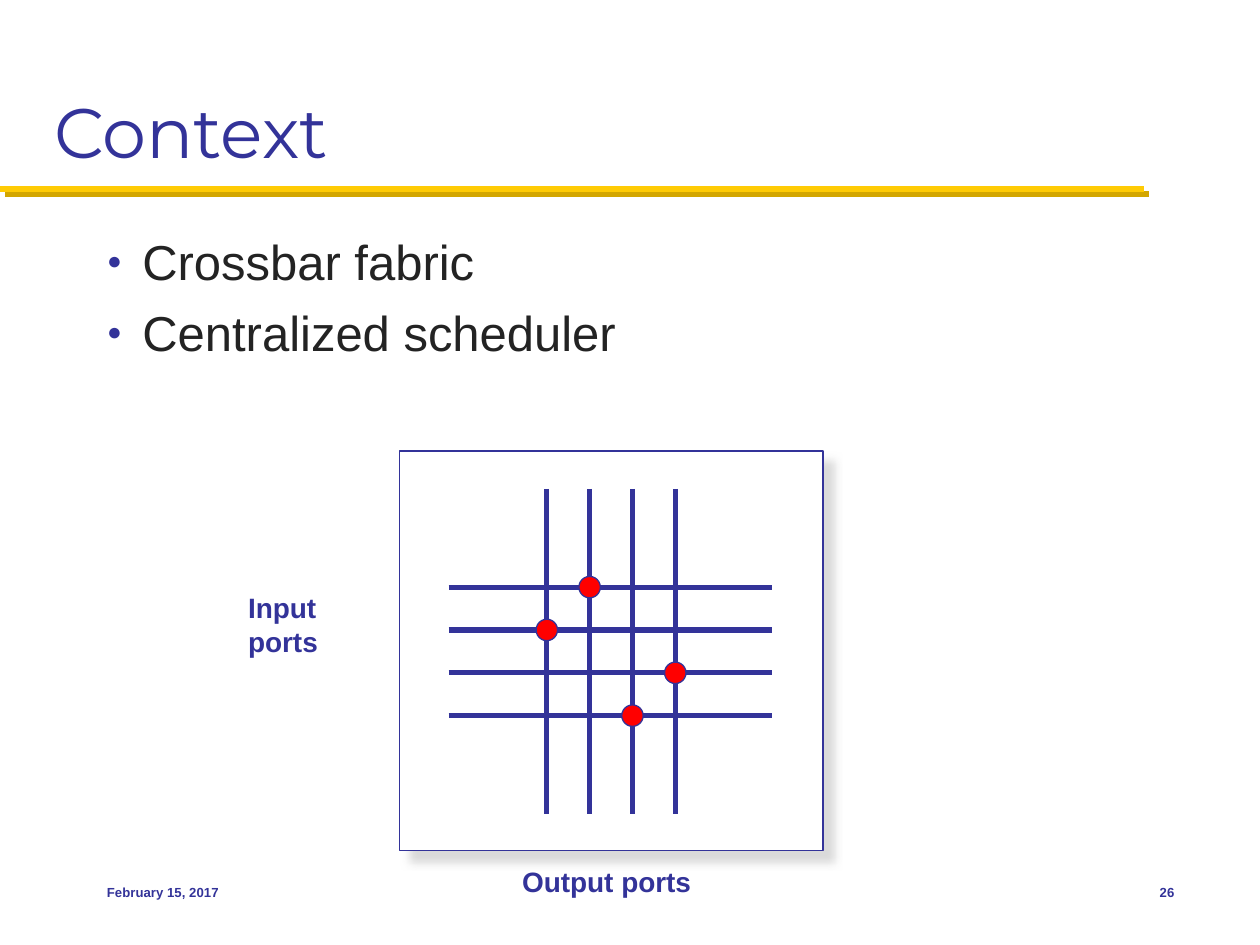
from dataclasses import dataclass

from lxml import etree
from pptx import Presentation
from pptx.dml.color import RGBColor
from pptx.enum.shapes import MSO_CONNECTOR, MSO_SHAPE
from pptx.enum.text import MSO_ANCHOR, MSO_AUTO_SIZE, PP_ALIGN
from pptx.oxml.ns import qn
from pptx.util import Inches, Pt

STRAIGHT = MSO_CONNECTOR.STRAIGHT
RECTANGLE, OVAL = MSO_SHAPE.RECTANGLE, MSO_SHAPE.OVAL
TOP, MIDDLE, BOTTOM = MSO_ANCHOR.TOP, MSO_ANCHOR.MIDDLE, MSO_ANCHOR.BOTTOM
LEFT, CENTER, RIGHT = PP_ALIGN.LEFT, PP_ALIGN.CENTER, PP_ALIGN.RIGHT
NO_AUTOFIT = MSO_AUTO_SIZE.NONE


@dataclass(frozen=True)
class Theme:
    navy: str = "333399"
    ink: str = "232323"
    gold: str = "FFCB05"
    dark_gold: str = "D3A600"
    red: str = "FF0000"
    white: str = "FFFFFF"
    grey: str = "CECECE"
    title_font: str = "Montserrat"
    text_font: str = "Arial"
    title_size: float = 40
    body_size: float = 28
    label_size: float = 16
    footer_size: float = 7.5


THEME = Theme()

# Crossbar geometry, in inches
COLUMN_START, ROW_START, STEP, PORTS = 4.34, 4.66, 0.34, 4
COLUMN_SPAN = (3.88, 6.46)
ROW_SPAN = (3.56, 6.13)
DOT_SIZE = 0.17
CLOSED_POINTS = [(1, 0), (0, 1), (3, 2), (2, 3)]  # (output column, input row)


def place(shape, left, top, width, height):
    bounds = {"left": left, "top": top, "width": width, "height": height}
    for name, value in bounds.items():
        setattr(shape, name, Inches(value))


def style_font(font, size, color, name=THEME.text_font, bold=False):
    for key, value in {"size": Pt(size), "name": name, "bold": bold}.items():
        setattr(font, key, value)
    font.color.rgb = RGBColor.from_string(color)


def style_frame(frame, anchor, top_inset=0.05):
    settings = {
        "word_wrap": True,
        "auto_size": NO_AUTOFIT,
        "vertical_anchor": anchor,
        "margin_left": Inches(0.1),
        "margin_right": Inches(0.1),
        "margin_top": Inches(top_inset),
        "margin_bottom": Inches(0.05),
    }
    for name, value in settings.items():
        setattr(frame, name, value)


def style_line(line, color, width):
    line.color.rgb = RGBColor.from_string(color)
    line.width = Pt(width)


def set_effects(shape, color=None, opacity=100, blur=0, distance=0):
    """Give the shape a shadow to the lower right, or none without a colour."""
    properties = shape._element.spPr
    for old in properties.findall(qn("a:effectLst")):
        properties.remove(old)
    effects = etree.SubElement(properties, qn("a:effectLst"))
    if color:
        shadow = etree.SubElement(
            effects, qn("a:outerShdw"), blurRad=str(Pt(blur)),
            dist=str(Pt(distance)), dir="2700000", algn="ctr", rotWithShape="0")
        tint = etree.SubElement(shadow, qn("a:srgbClr"), val=color)
        etree.SubElement(tint, qn("a:alpha"), val=str(opacity * 1000))


def add_line(shapes, start, end, color, width):
    line = shapes.add_connector(
        STRAIGHT, *(Inches(value) for value in (*start, *end)))
    style_line(line.line, color, width)
    set_effects(line)
    return line


def add_figure(shapes, kind, bounds, fill, width):
    figure = shapes.add_shape(kind, *(Inches(value) for value in bounds))
    figure.fill.solid()
    figure.fill.fore_color.rgb = RGBColor.from_string(fill)
    style_line(figure.line, THEME.navy, width)
    figure.shadow.inherit = False
    return figure


def add_label(page, lines, bounds, size, align=LEFT, anchor=TOP):
    box = page.shapes.add_textbox(*(Inches(value) for value in bounds))
    frame = box.text_frame
    style_frame(frame, anchor)
    frame.text = "\n".join(lines)
    for para in frame.paragraphs:
        para.alignment = align
        style_font(para.font, size, THEME.navy, bold=True)


def add_bullet(para):
    properties = para._p.get_or_add_pPr()
    properties.set("marL", str(Inches(0.28)))
    properties.set("indent", str(-Inches(0.28)))
    color = etree.SubElement(properties, qn("a:buClr"))
    etree.SubElement(color, qn("a:srgbClr"), val=THEME.navy)
    etree.SubElement(properties, qn("a:buSzPct"), val="50000")
    etree.SubElement(properties, qn("a:buFont"), typeface=THEME.text_font)
    etree.SubElement(properties, qn("a:buChar"), char="●")


def fill_title(page, text):
    title = page.shapes.title
    place(title, 0.33, 0.17, 9.33, 1.25)
    style_frame(title.text_frame, BOTTOM)
    title.text_frame.text = text
    para = title.text_frame.paragraphs[0]
    para.alignment = LEFT
    style_font(para.font, THEME.title_size, THEME.navy, THEME.title_font)


def fill_body(page, items):
    body = page.placeholders[1]
    place(body, 0.75, 1.75, 8.67, 4.83)
    style_frame(body.text_frame, TOP, top_inset=0.09)
    body.text_frame.text = "\n".join(items)
    for index, para in enumerate(body.text_frame.paragraphs):
        para.space_before = Pt(7 if index else 0)
        add_bullet(para)
        style_font(para.font, THEME.body_size, THEME.ink)


def add_crossbar(page):
    fabric = page.shapes.add_group_shape().shapes
    frame = add_figure(fabric, RECTANGLE, (3.17, 3.58, 3.36, 3.17), THEME.white, 1)
    set_effects(frame, THEME.grey, opacity=75, blur=5, distance=8.5)
    columns = [COLUMN_START + index * STEP for index in range(PORTS)]
    rows = [ROW_START + index * STEP for index in range(PORTS)]
    for x in columns:
        add_line(fabric, (x, COLUMN_SPAN[0]), (x, COLUMN_SPAN[1]), THEME.navy, 3)
    for y in rows:
        add_line(fabric, (ROW_SPAN[0], y), (ROW_SPAN[1], y), THEME.navy, 3)

    dots = page.shapes.add_group_shape().shapes
    for column, row in CLOSED_POINTS:
        bounds = (columns[column] - DOT_SIZE / 2, rows[row] - DOT_SIZE / 2,
                  DOT_SIZE, DOT_SIZE)
        add_figure(dots, OVAL, bounds, THEME.red, 0.75)


def main():
    deck = Presentation()
    deck.slide_width, deck.slide_height = Inches(10), Inches(7.5)
    page = deck.slides.add_slide(deck.slide_layouts[1])

    rule = add_line(page.shapes, (0, 1.5), (9.08, 1.5), THEME.gold, 3.5)
    set_effects(rule, THEME.dark_gold, distance=4.2)
    fill_title(page, "Context")
    fill_body(page, ["Crossbar fabric", "Centralized scheduler"])
    add_crossbar(page)
    add_label(page, ["Input", "ports"], (1.87, 4.64, 1.21, 1.11), THEME.label_size)
    add_label(page, ["Output ports"], (3.29, 6.81, 3.05, 0.44),
              THEME.label_size, CENTER)
    add_label(page, ["February 15, 2017"], (0.75, 6.83, 2.08, 0.5),
              THEME.footer_size, anchor=MIDDLE)
    add_label(page, ["26"], (8.75, 6.83, 0.67, 0.5),
              THEME.footer_size, RIGHT, MIDDLE)
    deck.save("out.pptx")


if __name__ == "__main__":
    main()
